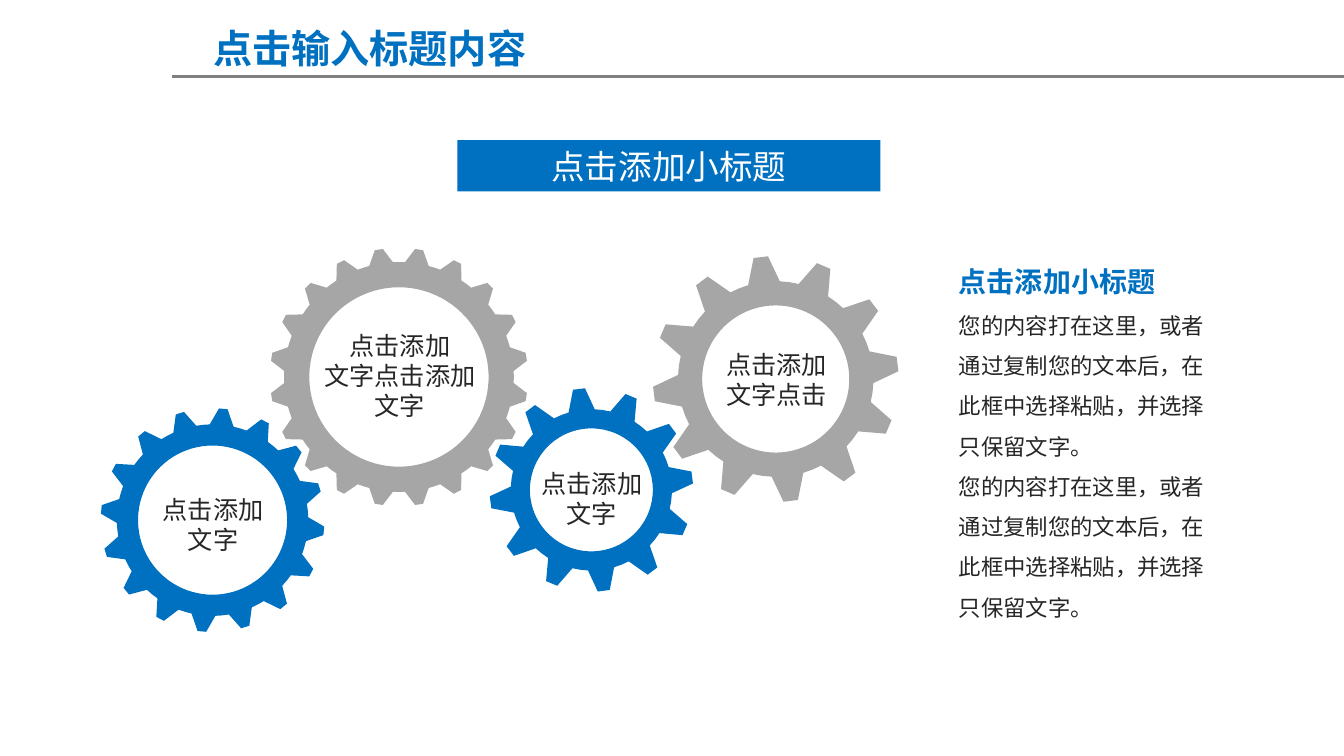
from math import cos, radians, sin

from lxml.etree import SubElement
from pptx import Presentation
from pptx.dml.color import RGBColor
from pptx.enum.shapes import MSO_CONNECTOR as Link, MSO_SHAPE as Kind
from pptx.enum.text import MSO_ANCHOR as Anchor, PP_ALIGN as Align
from pptx.oxml.ns import qn
from pptx.util import Inches, Pt

BLUE = RGBColor(0x00, 0x70, 0xC0)
GREY = RGBColor(0xA6, 0xA6, 0xA6)
RULE = RGBColor(0x80, 0x80, 0x80)
DARK = RGBColor(0x26, 0x26, 0x26)
WHITE = RGBColor(0xFF, 0xFF, 0xFF)
FACE = "Noto Sans CJK SC"


class Deck:
    def __init__(self, wide, high):
        self.deck = Presentation()
        self.deck.slide_width = Inches(wide)
        self.deck.slide_height = Inches(high)
        self.slide = self.deck.slides.add_slide(self.deck.slide_layouts[6])
        self.shapes = self.slide.shapes
        self.label = {"size": Pt(18), "color": DARK, "bold": False}
        self.body = {"size": Pt(16), "color": DARK, "bold": False}
        self.head = {"size": Pt(20), "color": BLUE, "bold": True}
        self.title = {"size": Pt(28), "color": BLUE, "bold": True}
        self.sub = {"size": Pt(24), "color": WHITE, "bold": False}

    def fill(self, frame, lines, align, lead=1.2):
        frame.word_wrap = True
        for num, (words, style) in enumerate(lines):
            para = frame.add_paragraph() if num else frame.paragraphs[0]
            para.alignment = align
            para.line_spacing = Pt(style["size"].pt * lead)
            run = para.add_run()
            run.text = words
            for key, value in style.items():
                if key == "color":
                    run.font.color.rgb = value
                else:
                    setattr(run.font, key, value)
            run.font.name = FACE
            SubElement(run.font._element, qn("a:ea"), typeface=FACE)

    def paint(self, shape, color):
        shape.shadow.inherit = False
        shape.fill.solid()
        shape.fill.fore_color.rgb = color
        shape.line.fill.background()

    def text(self, area, lines, align=Align.CENTER, anchor=Anchor.TOP, lead=1.2):
        box = self.shapes.add_textbox(*map(Inches, area))
        box.text_frame.vertical_anchor = anchor
        self.fill(box.text_frame, lines, align, lead)

    def bar(self, area, words, color):
        bar = self.shapes.add_shape(Kind.RECTANGLE, *map(Inches, area))
        self.paint(bar, color)
        bar.text_frame.vertical_anchor = Anchor.MIDDLE
        self.fill(bar.text_frame, [(words, self.sub)], Align.CENTER)

    def rule(self, left, right, top, color):
        ends = map(Inches, (left, top, right, top))
        rule = self.shapes.add_connector(Link.STRAIGHT, *ends)
        rule.line.color.rgb = color
        rule.line.width = Pt(2)
        SubElement(rule._element.spPr, qn("a:effectLst"))

    def gear(self, mid, teeth, turn, radii, spread, color):
        hole, root, tip = radii
        foot, crest = spread
        step = 360 / teeth

        def spot(reach, angle):
            turned = radians(angle)
            return (Inches(mid[0] + reach * sin(turned)),
                    Inches(mid[1] - reach * cos(turned)))

        tooth = ((root, -foot), (tip, -crest), (tip, crest),
                 (root, foot), (root, step / 2))
        rim = [spot(reach, turn + num * step + angle)
               for num in range(teeth) for reach, angle in tooth]
        ring = [spot(hole, -angle) for angle in range(0, 360, 4)]
        form = self.shapes.build_freeform(*rim[0])
        form.add_line_segments(rim[1:], close=True)
        form.move_to(*ring[0])
        form.add_line_segments(ring[1:], close=True)
        self.paint(form.convert_to_shape(), color)

    def save(self):
        self.deck.save("out.pptx")


def main():
    deck = Deck(13.34, 7.5)
    deck.rule(1.71, 13.34, 0.76, RULE)
    deck.text((1.87, 0.19, 3.6, 0.57), [("点击输入标题内容", deck.title)])
    deck.bar((4.54, 1.39, 4.2, 0.51), "点击添加小标题", BLUE)

    gears = (
        ((3.96, 3.74), 20, 9, (0.89, 1.14, 1.28), (6, 1.8), GREY),
        ((5.87, 4.86), 12, -7, (0.61, 0.8, 1.01), (9.4, 3.4), BLUE),
        ((2.11, 5.16), 16, 5.5, (0.74, 0.95, 1.11), (7.2, 2.2), BLUE),
        ((7.7, 3.76), 12, -7, (0.73, 0.97, 1.22), (9.4, 3.4), GREY),
    )
    for gear in gears:
        deck.gear(*gear)

    labels = (
        ((1.5, 4.85, 1.23, 0.71), ("点击添加", "文字")),
        ((3.1, 3.22, 1.74, 1.01), ("点击添加", "文字点击添加", "文字")),
        ((5.26, 4.59, 1.23, 0.71), ("点击添加", "文字")),
        ((6.84, 3.41, 1.74, 0.71), ("点击添加", "文字点击")),
    )
    for area, lines in labels:
        deck.text(area, [(line, deck.label) for line in lines], anchor=Anchor.MIDDLE)

    note = "您的内容打在这里，或者通过复制您的文本后，在此框中选择粘贴，并选择只保留文字。"
    deck.text((9.42, 2.41, 2.83, 3.84),
              [("点击添加小标题", deck.head)] + [(note, deck.body)] * 2,
              Align.LEFT, lead=1.8)
    deck.save()


if __name__ == "__main__":
    main()
